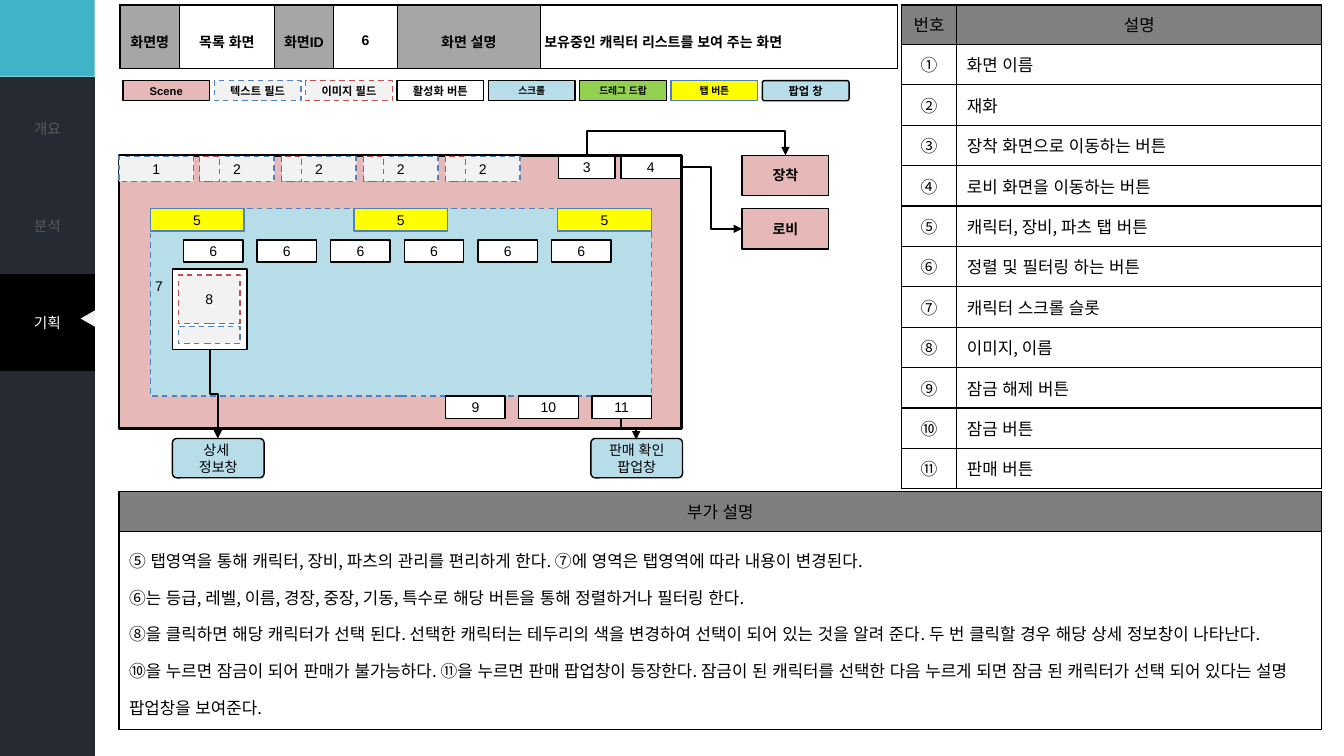
import pptx
import pptx.util
import pptx.oxml
import pptx.oxml.ns
import pptx.dml.color
import pptx.enum.dml
import pptx.enum.lang
import pptx.enum.shapes
import pptx.enum.text

Inches = pptx.util.Inches
Pt = pptx.util.Pt
qn = pptx.oxml.ns.qn
SHAPE = pptx.enum.shapes.MSO_SHAPE
ALIGN = pptx.enum.text.PP_ALIGN
ANCHOR = pptx.enum.text.MSO_ANCHOR

COLORS = {
    "black": "000000", "white": "FFFFFF", "teal": "3EB4C6", "slate": "262A33",
    "muted": "595959", "light": "F2F2F2", "scene": "E6B9B8", "scroll": "B7DEE8",
    "drag": "92D050", "tab": "FFFF00", "blue": "4F81BD", "red": "C0504D",
    "label": "A6A6A6", "heading": "808080", "note": "7F7F7F",
}
KOREAN = "Noto Sans CJK KR"
NUMERALS = "①②③④⑤⑥⑦⑧⑨⑩⑪"
MENU = ["개요", "분석", "기획", "", "", "", ""]
INFO = ["화면명", "목록 화면", "화면ID", "6", "화면 설명", "보유중인 캐릭터 리스트를 보여 주는 화면"]
DESCRIPTIONS = [
    "화면 이름", "재화", "장착 화면으로 이동하는 버튼", "로비 화면을 이동하는 버튼",
    "캐릭터, 장비, 파츠 탭 버튼", "정렬 및 필터링 하는 버튼", "캐릭터 스크롤 슬롯",
    "이미지, 이름", "잠금 해제 버튼", "잠금 버튼", "판매 버튼",
]
NOTES = """⑤ 탭영역을 통해 캐릭터, 장비, 파츠의 관리를 편리하게 한다. ⑦에 영역은 탭영역에 따라 내용이 변경된다.
⑥는 등급, 레벨, 이름, 경장, 중장, 기동, 특수로 해당 버튼을 통해 정렬하거나 필터링 한다.
⑧을 클릭하면 해당 캐릭터가 선택 된다. 선택한 캐릭터는 테두리의 색을 변경하여 선택이 되어 있는 것을 알려 준다. 두 번 클릭할 경우 해당 상세 정보창이 나타난다.
⑩을 누르면 잠금이 되어 판매가 불가능하다. ⑪을 누르면 판매 팝업창이 등장한다. 잠금이 된 캐릭터를 선택한 다음 누르게 되면 잠금 된 캐릭터가 선택 되어 있다는 설명 팝업창을 보여준다."""


def rgb(name):
    return pptx.dml.color.RGBColor.from_string(COLORS[name])


def write(frame, text, size=10, font="Arial", color="black", bold=False,
          align=ALIGN.CENTER, spacing=None):
    for index, line in enumerate(text.split("\n")):
        paragraph = frame.add_paragraph() if index else frame.paragraphs[0]
        paragraph.alignment = align
        if spacing:
            paragraph.line_spacing = spacing
        run = paragraph.add_run()
        run.text = line
        run.font.size, run.font.bold, run.font.name = Pt(size), bold, font
        run.font.language_id = pptx.enum.lang.MSO_LANGUAGE_ID.KOREAN
        run.font.color.rgb = rgb(color)
        run.font._element.set("kern", "0")
        east_asian = pptx.oxml.parse_xml(f'<a:ea {pptx.oxml.ns.nsdecls("a")} typeface="{KOREAN}"/>')
        run.font._element.append(east_asian)


def block(slide, left, top, width, height, fill, text="", line="black", weight=1,
          dashed=False, kind=SHAPE.RECTANGLE, **style):
    shape = slide.shapes.add_shape(kind, *map(Inches, (left, top, width, height)))
    shape.shadow.inherit = False
    shape.fill.solid()
    shape.fill.fore_color.rgb = rgb(fill)
    if line:
        shape.line.color.rgb = rgb(line)
        shape.line.width = Pt(weight)
        if dashed:
            shape.line.dash_style = pptx.enum.dml.MSO_LINE.DASH
    else:
        shape.line.fill.background()
    if kind == SHAPE.ROUNDED_RECTANGLE:
        shape.adjustments[0] = 0.11
    if text:
        frame = shape.text_frame
        frame.margin_left = frame.margin_right = frame.margin_top = frame.margin_bottom = 0
        frame.vertical_anchor = ANCHOR.MIDDLE
        write(frame, text, **style)
    return shape


def field(slide, left, top, width, height, text="", line="blue"):
    return block(slide, left, top, width, height, "light", text, line=line, dashed=True)


def grid(slide, left, top, columns, rows):
    table = slide.shapes.add_table(len(rows), len(columns), Inches(left), Inches(top),
                                   Inches(sum(columns)), Inches(sum(rows))).table
    table.first_row = table.horz_banding = False
    for column, width in zip(table.columns, columns):
        column.width = Inches(width)
    for row, height in zip(table.rows, rows):
        row.height = Inches(height)
    return table


def fill_cell(cell, text, fill, border="black", anchor=ANCHOR.MIDDLE, margin=None, **style):
    cell.vertical_anchor = anchor
    if margin is not None:
        cell.margin_left = cell.margin_right = cell.margin_top = cell.margin_bottom = Inches(margin)
    paint = f'<a:solidFill><a:srgbClr val="{COLORS[border]}"/></a:solidFill>' if border else "<a:noFill/>"
    for side in ("lnL", "lnR", "lnT", "lnB"):
        cell._tc.get_or_add_tcPr().append(pptx.oxml.parse_xml(
            f'<a:{side} {pptx.oxml.ns.nsdecls("a")} w="{Pt(1)}">{paint}</a:{side}>'))
    cell.fill.solid()
    cell.fill.fore_color.rgb = rgb(fill)
    if text:
        write(cell.text_frame, text, **style)


def elbow(slide, start, end, vertical=True, bend=0.5):
    (x0, y0), (x1, y1) = start, end
    arrow = slide.shapes.add_connector(pptx.enum.shapes.MSO_CONNECTOR.ELBOW,
                                       *map(Inches, (x0, y0, x1, y1)))
    properties = arrow._element.spPr
    if vertical:
        width, height = abs(y1 - y0), abs(x1 - x0)
        arrow.left, arrow.top = Inches((x0 + x1 - width) / 2), Inches((y0 + y1 - height) / 2)
        arrow.width, arrow.height = Inches(width), Inches(height)
        transform = properties.find(qn("a:xfrm"))
        transform.set("rot", str(270 * 60000))
        transform.set("flipH", "1" if y1 > y0 else "0")
        transform.set("flipV", "0")
    guides = properties.find(qn("a:prstGeom")).get_or_add_avLst()
    guides.append(pptx.oxml.parse_xml(
        f'<a:gd {pptx.oxml.ns.nsdecls("a")} name="adj1" fmla="val {round(bend * 100000)}"/>'))
    arrow.line.color.rgb = rgb("black")
    arrow.line.width = Pt(1.5)
    for xml in ('<a:tailEnd {} type="triangle"/>', "<a:effectLst {}/>"):
        element = pptx.oxml.parse_xml(xml.format(pptx.oxml.ns.nsdecls("a")))
        (properties.find(qn("a:ln")) if "tailEnd" in xml else properties).append(element)


def menu_column(slide, left, top, width, entries):
    menu = grid(slide, left, top, [width], [0.963] * len(entries))
    for index, entry in enumerate(entries):
        current = entry == "기획"
        fill_cell(menu.cell(index, 0), entry, "black" if current else "slate", border=None,
                  size=10.5, font=KOREAN, color="white" if current else "muted")


def menu_rail(slide, left, top, width):
    menu_column(slide, left, top + 0.76, width, [""] * len(MENU))
    for offset in (6.75, 0):
        block(slide, left, top + offset, width, 0.76, "teal", line=None)
    menu_column(slide, left, top + 0.79, width, MENU)
    pointer = block(slide, left + width - 0.15, top + 3.09, 0.16, 0.14, "light",
                    line=None, kind=SHAPE.ISOSCELES_TRIANGLE)
    pointer.rotation = 270


def info_bar(slide, left, top):
    bar = grid(slide, left, top, [0.59, 0.94, 0.59, 0.63, 1.42, 3.54], [0.63])
    for index, text in enumerate(INFO):
        fill_cell(bar.cell(0, index), text, "white" if index % 2 else "label", margin=0.04,
                  bold=True, spacing=1.5, align=ALIGN.LEFT if index == 5 else ALIGN.CENTER)


def legend(slide, left, top):
    small = dict(size=7, font=KOREAN)
    entries = [
        ("Scene", "scene", {}),
        ("텍스트 필드", "light", dict(line="blue", dashed=True)),
        ("이미지 필드", "light", dict(line="red", dashed=True)),
        ("활성화 버튼", "white", {}),
        ("스크롤", "scroll", small),
        ("드레그 드랍", "drag", small),
        ("탭 버튼", "tab", dict(line="blue", **small)),
        ("팝업 창", "scroll", dict(kind=SHAPE.ROUNDED_RECTANGLE)),
    ]
    for index, (text, fill, style) in enumerate(entries):
        block(slide, left + index * 0.906, top, 0.86, 0.2, fill, text, bold=True,
              **{"size": 8, **style})


def wireframe(slide, left, top):
    block(slide, left, top, 5.58, 2.71, "scene", weight=2)
    block(slide, left + 0.31, top + 0.53, 4.97, 1.86, "scroll", line="blue", dashed=True)
    for index in range(6):
        block(slide, left + 0.64 + index * 0.73, top + 0.84, 0.59, 0.22, "white", "6")
    for index in range(3):
        block(slide, left + 0.31 + index * 2.02, top + 0.53, 0.93, 0.22, "tab", "5", line="blue")
        block(slide, left + 3.24 + index * 0.725, top + 2.39, 0.59, 0.22, "white", str(9 + index))
    slot_number = slide.shapes.add_textbox(*map(Inches, (left + 0.26, top + 1.16, 0.28, 0.27)))
    slot_number.text_frame.word_wrap = False
    write(slot_number.text_frame, "7", align=ALIGN.LEFT)
    block(slide, left + 0.53, top + 1.13, 0.74, 0.8, "white")
    field(slide, left + 0.59, top + 1.19, 0.61, 0.48, "8", line="red")
    field(slide, left + 0.59, top + 1.7, 0.61, 0.17)
    block(slide, left + 4.36, top + 0.01, 0.56, 0.22, "white", "3")
    block(slide, left + 4.98, top + 0.01, 0.59, 0.22, "white", "4")
    field(slide, left, top + 0.01, 0.74, 0.25, "1")
    for index in range(4):
        currency = left + 0.8 + index * 0.813
        field(slide, currency, top + 0.01, 0.74, 0.25, "2")
        field(slide, currency, top + 0.01, 0.2, 0.25, line="red")


def destinations(slide, left, top):
    for index, text in enumerate(["장착", "로비"]):
        block(slide, left + 6.18, top + index * 0.53, 0.86, 0.4, "scene", text,
              font=KOREAN, bold=True)
    for offset, text in [(0.53, "상세 \n정보창"), (4.68, "판매 확인\n팝업창")]:
        block(slide, left + offset, top + 2.81, 0.91, 0.39, "scroll", text,
              kind=SHAPE.ROUNDED_RECTANGLE)
    elbow(slide, (left + 4.64, top + 0.02), (left + 6.61, top), bend=13)
    elbow(slide, (left + 5.57, top + 0.12), (left + 6.18, top + 0.73), vertical=False)
    elbow(slide, (left + 4.98, top + 2.61), (left + 5.13, top + 2.82))
    elbow(slide, (left + 0.9, top + 1.93), (left + 0.98, top + 2.81))


def description_table(slide, left, top):
    rows = [("번호", "설명"), *zip(NUMERALS, DESCRIPTIONS)]
    table = grid(slide, left, top, [0.55, 3.62], [0.39] + [0.401] * len(DESCRIPTIONS))
    for row, texts in enumerate(rows):
        for column, text in enumerate(texts):
            fill_cell(table.cell(row, column), text, "white" if row else "heading", size=12,
                      font=KOREAN, align=ALIGN.LEFT if row and column else ALIGN.CENTER)


def extra_notes(slide, left, top):
    table = grid(slide, left, top, [11.93], [0.39, 1.97])
    fill_cell(table.cell(0, 0), "부가 설명", "note", size=12, font=KOREAN)
    fill_cell(table.cell(1, 0), NOTES, "white", anchor=ANCHOR.TOP, size=12, font=KOREAN,
              align=ALIGN.LEFT, spacing=1.5)


def main():
    deck = pptx.Presentation()
    deck.slide_width, deck.slide_height = Inches(13.33), Inches(7.5)
    slide = deck.slides.add_slide(deck.slide_layouts[6])
    menu_rail(slide, 0, 0, 0.94)
    info_bar(slide, 1.19, 0.05)
    legend(slide, 1.22, 0.8)
    description_table(slide, 8.94, 0.05)
    extra_notes(slide, 1.18, 4.88)
    wireframe(slide, 1.18, 1.54)
    destinations(slide, 1.18, 1.54)
    deck.save("out.pptx")


if __name__ == "__main__":
    main()
